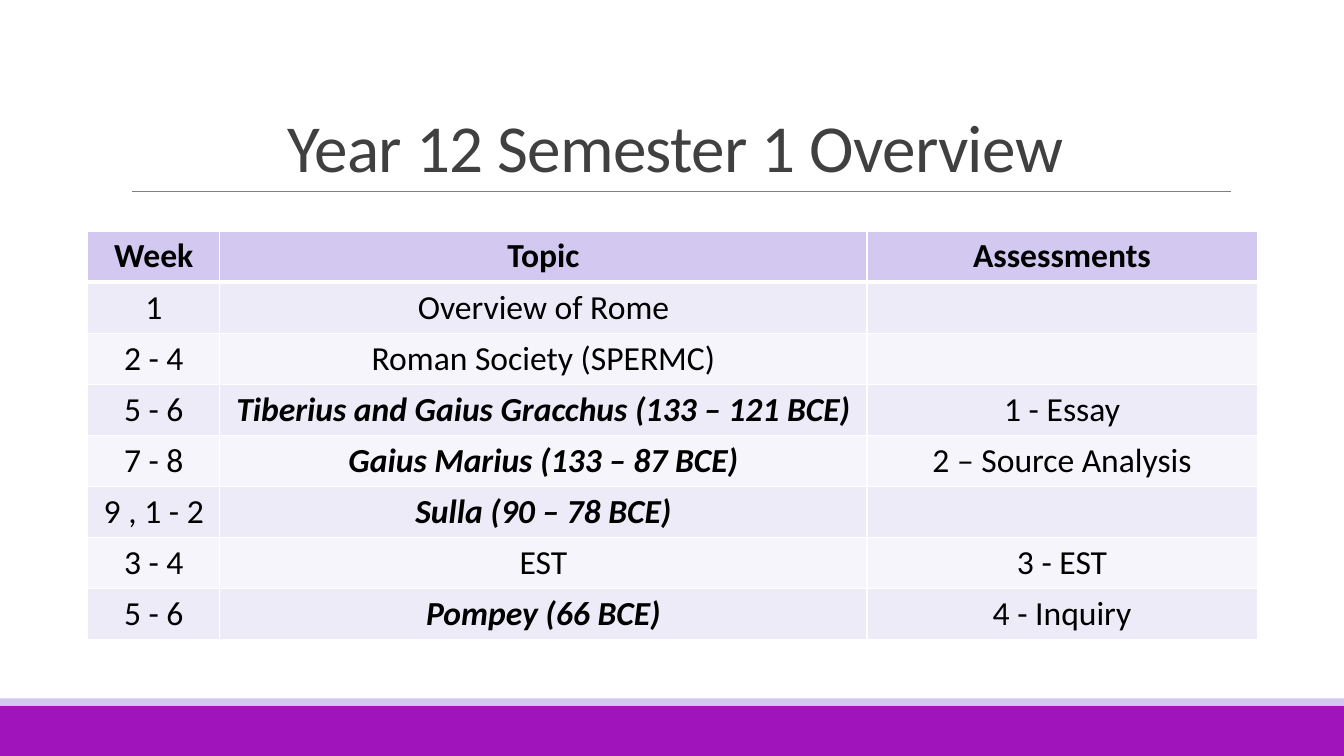
"""Build the Year 12 Semester 1 overview slide."""
from dataclasses import dataclass

from lxml.etree import SubElement
from pptx import Presentation
from pptx.dml.color import RGBColor
from pptx.enum.shapes import MSO_CONNECTOR as Connector, MSO_SHAPE as Shape
from pptx.enum.text import MSO_ANCHOR as Anchor, MSO_AUTO_SIZE as AutoSize, PP_ALIGN as Align
from pptx.oxml.ns import qn
from pptx.util import Cm, Pt


@dataclass(frozen=True)
class Theme:
    font: str = "Calibri"
    title_size: int = 48
    table_size: int = 24
    title: str = "404040"
    text: str = "000000"
    rule: str = "808080"
    border: str = "FFFFFF"
    purple: str = "A015BB"
    lilac: str = "D2C8F0"
    bands: tuple = ("F7F5FC", "EEEBF9")


theme = Theme()


def style(para, size, color):
    para.alignment = Align.CENTER
    para.font.name = theme.font
    para.font.size = Pt(size)
    para.font.color.rgb = RGBColor.from_string(color)


def add_border(cell, side, width):
    line = SubElement(cell._tc.get_or_add_tcPr(), qn(f"a:{side}"), w=str(Pt(width)))
    SubElement(SubElement(line, qn("a:solidFill")), qn("a:srgbClr"), val=theme.border)


deck = Presentation()
deck.slide_width, deck.slide_height = Cm(33.87), Cm(19.05)
page = deck.slides.add_slide(deck.slide_layouts[5])

for top, height, color in ((17.78, 1.27, theme.purple), (17.6, 0.18, theme.lilac)):
    bar = page.shapes.add_shape(Shape.RECTANGLE, 0, Cm(top), deck.slide_width, Cm(height))
    bar.shadow.inherit = False
    bar.fill.solid()
    bar.fill.fore_color.rgb = RGBColor.from_string(color)
    bar.line.fill.background()

rule = page.shapes.add_connector(Connector.STRAIGHT, Cm(3.33), Cm(4.82), Cm(31.01), Cm(4.82))
rule.line.color.rgb = RGBColor.from_string(theme.rule)
rule.line.width = Pt(0.5)
SubElement(rule._element.spPr, qn("a:effectLst"))

title = page.shapes.title
title.left, title.top, title.width, title.height = Cm(3.05), Cm(0.79), Cm(27.94), Cm(4.03)
title.text_frame.text = "Year 12 Semester 1 Overview"
title.text_frame.word_wrap = True
title.text_frame.auto_size = AutoSize.NONE
title.text_frame.vertical_anchor = Anchor.BOTTOM
heading = title.text_frame.paragraphs[0]
style(heading, theme.title_size, theme.title)
heading.line_spacing = 0.85
heading.runs[0].font._element.set("spc", "-50")

schedule = (
    ("Week", "Topic", "Assessments"),
    ("1", "Overview of Rome", ""),
    ("2 - 4", "Roman Society (SPERMC)", ""),
    ("5 - 6", "Tiberius and Gaius Gracchus (133 – 121 BCE)", "1 - Essay"),
    ("7 - 8", "Gaius Marius (133 – 87 BCE)", "2 – Source Analysis"),
    ("9 , 1 - 2", "Sulla (90 – 78 BCE)", ""),
    ("3 - 4", "EST", "3 - EST"),
    ("5 - 6", "Pompey (66 BCE)", "4 - Inquiry"),
)
widths = (3.33, 16.31, 9.83)
row_height = 1.02
table = page.shapes.add_table(
    len(schedule), len(widths), Cm(2.21), Cm(5.82),
    Cm(sum(widths)), Cm(row_height * len(schedule))).table

for column, width in zip(table.columns, widths):
    column.width = Cm(width)

for row, entries in enumerate(schedule):
    table.rows[row].height = Cm(row_height)
    header = row == 0
    fill = theme.lilac if header else theme.bands[row % 2]
    for column, entry in enumerate(entries):
        cell = table.cell(row, column)
        for side, width in (("lnL", 1), ("lnR", 1),
                            ("lnT", 3 if row == 1 else 1), ("lnB", 3 if header else 1)):
            add_border(cell, side, width)
        cell.fill.solid()
        cell.fill.fore_color.rgb = RGBColor.from_string(fill)
        cell.text = entry
        para = cell.text_frame.paragraphs[0]
        style(para, theme.table_size, theme.text)
        leader = "BCE" in entry
        para.font.bold = header or leader
        para.font.italic = leader

deck.save("out.pptx")
